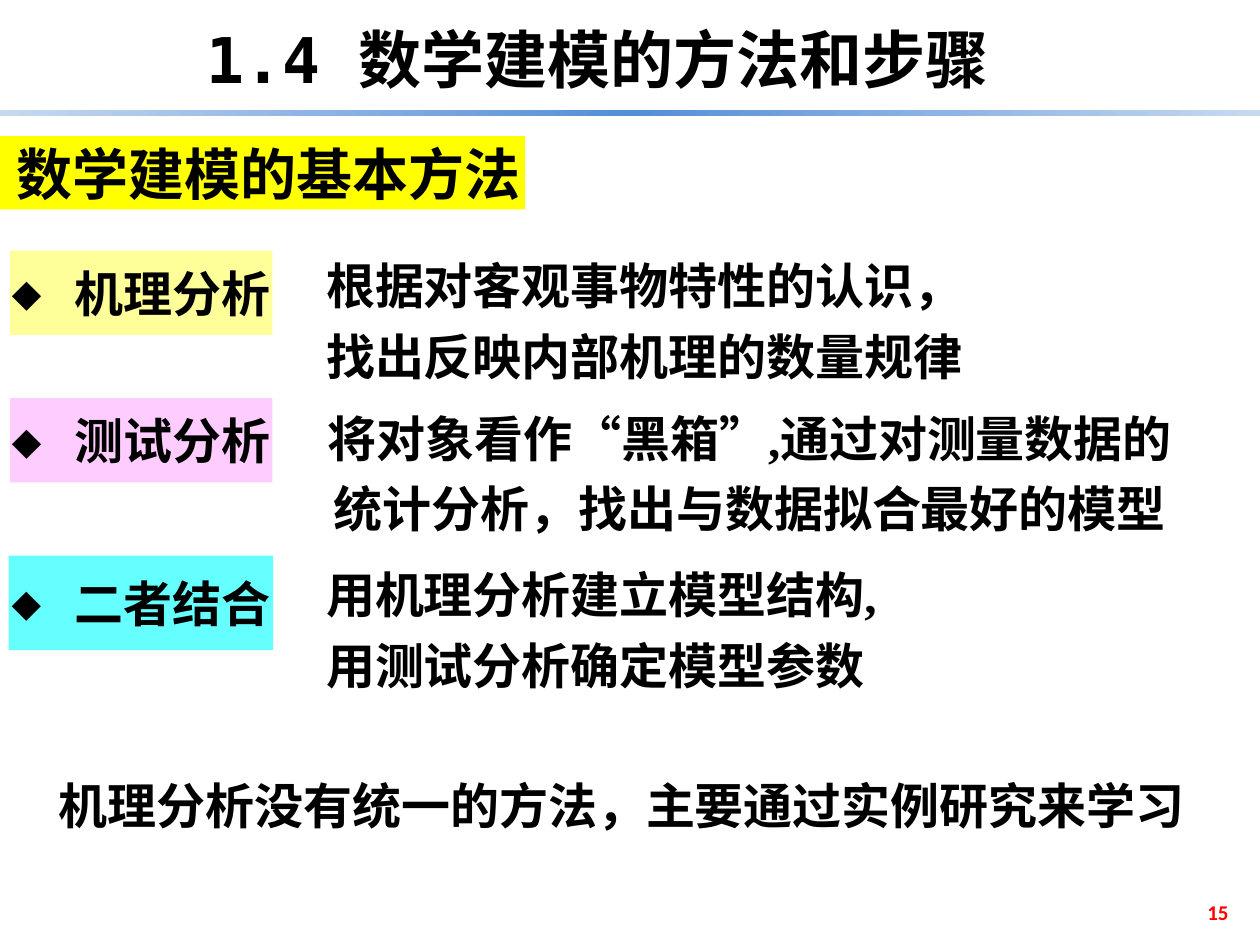
from lxml import etree
from pptx import Presentation
from pptx import util as u
from pptx.dml.color import RGBColor
from pptx.enum import shapes, text
from pptx.oxml import ns

CJK, SERIF, MONO = "Noto Sans CJK SC", "Times New Roman", "DejaVu Sans Mono"
LEFT, CENTER, RIGHT = text.PP_ALIGN.LEFT, text.PP_ALIGN.CENTER, text.PP_ALIGN.RIGHT
TOP, MIDDLE = text.MSO_ANCHOR.TOP, text.MSO_ANCHOR.MIDDLE

# Content: places are left, top, width, height in points
TITLE = "1.4 数学建模的方法和步骤"
HEADING = " 数学建模的基本方法"
METHODS = [
    {"name": "机理分析", "fill": "FFFF99", "place": (5.8, 143.3, 149.8, 48.2),
     "lines": ["根据对客观事物特性的认识，", "找出反映内部机理的数量规律"],
     "lines_place": (179.3, 137.5, 498.2, 84.2), "align": LEFT},
    {"name": "测试分析", "fill": "FFCCFF", "place": (5.8, 227.5, 149.8, 48.2),
     "lines": ["将对象看作“黑箱”,通过对测量数据的",
               "统计分析，找出与数据拟合最好的模型"],
     "lines_place": (179.3, 221.8, 498.2, 90), "align": CENTER},
    {"name": "二者结合", "fill": "66FFFF", "place": (5, 317.5, 151.2, 54),
     "lines": ["用机理分析建立模型结构,", "用测试分析确定模型参数"],
     "lines_place": (179.3, 317.5, 356.4, 77.8), "align": LEFT},
]
CLOSING = "机理分析没有统一的方法，主要通过实例研究来学习"
PAGE_NUMBER = "15"
RULE_STOPS = [(0, "C6D9F1"), (25, "8EB4E3"), (50, "558ED5"),
              (75, "8EB4E3"), (100, "C6D9F1")]


def color(value):
    return RGBColor.from_string(value)


def points(place):
    return [u.Pt(value) for value in place]


def add_bullet(para):
    properties = para._p.get_or_add_pPr()
    properties.set("marL", str(u.Pt(36)))
    properties.set("indent", str(-u.Pt(36)))
    etree.SubElement(properties, ns.qn("a:buFont")).set("typeface", MONO)
    etree.SubElement(properties, ns.qn("a:buChar")).set("char", "◆")


def write(box, lines, size, font=CJK, align=LEFT, anchor=MIDDLE, ink="000000",
          wrap=False, spacing=1.0, bullet=False):
    frame = box.text_frame
    frame.word_wrap = wrap
    frame.vertical_anchor = anchor
    frame.auto_size = text.MSO_AUTO_SIZE.NONE
    for index, line in enumerate(lines):
        para = frame.add_paragraph() if index else frame.paragraphs[0]
        para.alignment = align
        para.line_spacing = spacing
        if bullet:
            add_bullet(para)
        span = para.add_run()
        span.text = line
        for key, value in {"name": font, "size": u.Pt(size), "bold": True}.items():
            setattr(span.font, key, value)
        span.font.color.rgb = color(ink)
        east_asian = etree.SubElement(span._r.get_or_add_rPr(), ns.qn("a:ea"))
        east_asian.set("typeface", CJK)


def add_text(place, lines, size, **style):
    write(page.shapes.add_textbox(*points(place)), lines, size, **style)


def add_block(place, fill):
    block = page.shapes.add_shape(shapes.MSO_SHAPE.RECTANGLE, *points(place))
    block.shadow.inherit = False
    block.line.fill.background()
    block.fill.solid()
    block.fill.fore_color.rgb = color(fill)
    return block


deck = Presentation()
deck.slide_width, deck.slide_height = u.Pt(720), u.Pt(540)
page = deck.slides.add_slide(deck.slide_layouts[5])

# Title and page number
title = page.shapes.title
title.left, title.top, title.width, title.height = points((58.3, 7.9, 566.6, 51.1))
write(title, [TITLE], 36, font=MONO, align=CENTER, anchor=TOP, wrap=True)
add_text((541.4, 506.9, 167.8, 28.8), [PAGE_NUMBER], 12, font="Calibri",
         align=RIGHT, ink="FF0000", wrap=True)

# Gradient rule under the title
rule = add_block((0, 62.6, 720, 3.6), "558ED5")
rule.fill.gradient()
rule.fill.gradient_angle = 0
stops = rule._element.spPr.find(ns.qn("a:gradFill")).find(ns.qn("a:gsLst"))
for stop in list(stops):
    stops.remove(stop)
for position, value in RULE_STOPS:
    stop = etree.SubElement(stops, ns.qn("a:gs"), pos=str(position * 1000))
    etree.SubElement(stop, ns.qn("a:srgbClr"), val=value)

# Heading, methods with their explanations, closing remark
write(add_block((0, 77.8, 300.2, 41.8), "FFFF00"), [HEADING], 32, align=CENTER)
for method in METHODS:
    label = add_block(method["place"], method["fill"])
    write(label, [method["name"]], 28, align=CENTER, bullet=True)
    add_text(method["lines_place"], method["lines"], 28, font=SERIF,
             align=method["align"], spacing=1.2)
add_text((26.6, 417.6, 650.9, 77.8), [CLOSING], 28, spacing=1.2)

deck.save("out.pptx")
